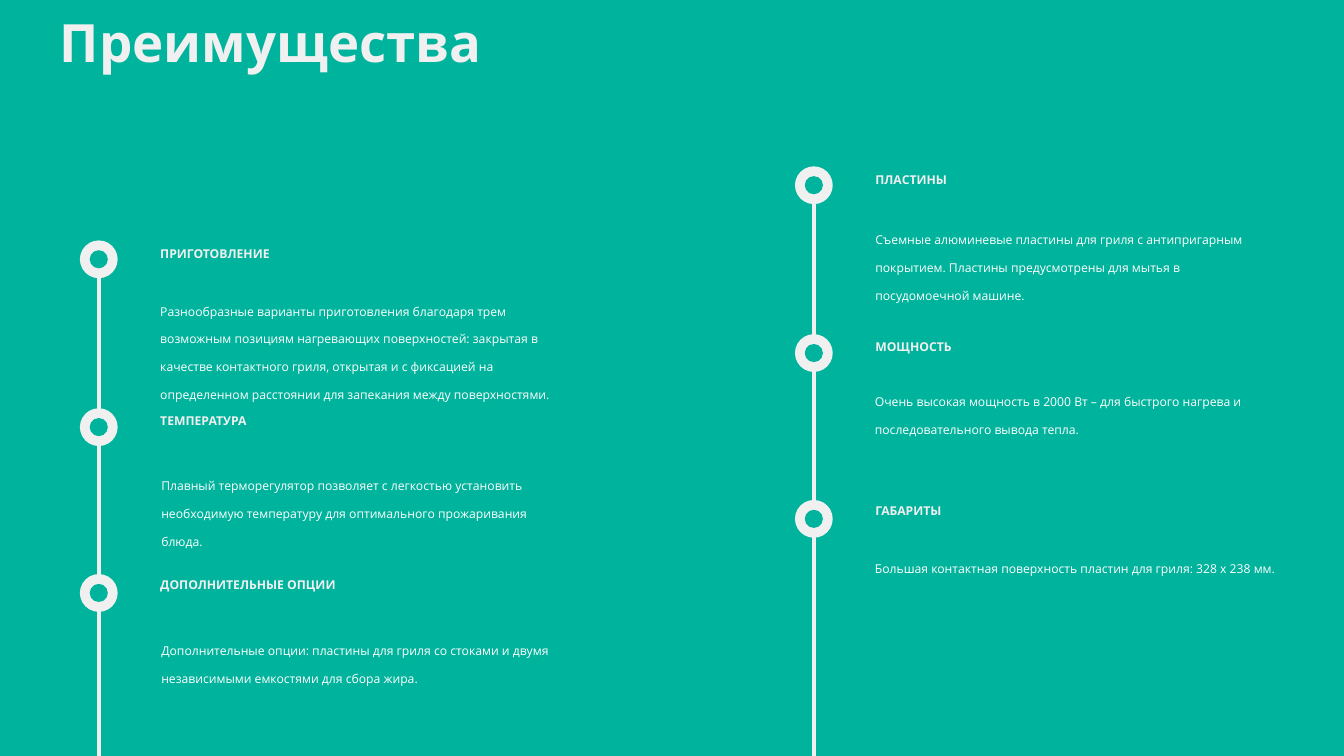
from pptx import Presentation
from pptx.dml.color import RGBColor
from pptx.enum.shapes import MSO_CONNECTOR, MSO_SHAPE
from pptx.enum.text import MSO_ANCHOR, MSO_AUTO_SIZE
from pptx.oxml.ns import qn
from pptx.util import Inches, Pt
from lxml.etree import SubElement

COLORS = {"background": "00B39C", "light": "F0F0F0", "body": "FFFFFF"}
FONT = "Open Sans"
TITLE = "Преимущества"

# Each benefit: heading, description, description left and top
TIMELINES = [
    {"spine": 16.15, "top": 3.3, "end": 15.05, "heading_left": 17.31, "benefits": [
        ("ПЛАСТИНЫ",
         "Съемные алюминевые пластины для гриля с антипригарным покрытием. "
         "Пластины предусмотрены для мытья в посудомоечной машине.", 17.31, 4.55),
        ("МОЩНОСТЬ",
         "Очень высокая мощность в 2000 Вт – для быстрого нагрева и "
         "последовательного вывода тепла.", 17.3, 7.77),
        ("ГАБАРИТЫ",
         "Большая контактная поверхность пластин для гриля: 328 x 238 мм.", 17.3, 11.08),
    ]},
    {"spine": 1.96, "top": 4.77, "end": 16.52, "heading_left": 3.12, "benefits": [
        ("ПРИГОТОВЛЕНИЕ",
         "Разнообразные варианты приготовления благодаря трем возможным позициям "
         "нагревающих поверхностей: закрытая в качестве контактного гриля, открытая "
         "и с фиксацией на определенном расстоянии для запекания между поверхностями.",
         3.12, 5.97),
        ("ТЕМПЕРАТУРА",
         "Плавный терморегулятор позволяет с легкостью установить необходимую "
         "температуру для оптимального прожаривания блюда.", 3.14, 9.44),
        ("ДОПОЛНИТЕЛЬНЫЕ ОПЦИИ",
         "Дополнительные опции: пластины для гриля со стоками и двумя независимыми "
         "емкостями для сбора жира.", 3.14, 12.7),
    ]},
]
NODE_OFFSETS = [0, 3.33, 6.62]
HEADING_OFFSETS = [0.08, 0.06, 0.03]
RING, HOLE = 0.75, 0.36


def rgb(name):
    return RGBColor.from_string(COLORS[name])


def add_text(slide, text, left, top, width, height, size, color="light", bold=True):
    """Add raised text; bold titles are centred vertically and grow to fit."""
    box = slide.shapes.add_textbox(*map(Inches, (left, top, width, height)))
    frame = box.text_frame
    frame.word_wrap = True
    frame.margin_left = frame.margin_right = Inches(0.06)
    frame.margin_top = frame.margin_bottom = Inches(0.06)
    if bold:
        frame.vertical_anchor = MSO_ANCHOR.MIDDLE
        frame.auto_size = MSO_AUTO_SIZE.SHAPE_TO_FIT_TEXT
    paragraph = frame.paragraphs[0]
    run = paragraph.add_run()
    run.text = text
    run._r.get_or_add_rPr().set("baseline", "55000")
    paragraph.font.name = FONT
    paragraph.font.size = Pt(size)
    paragraph.font.bold = bold
    paragraph.font.color.rgb = rgb(color)
    return paragraph


def add_spine(slide, x, top, end):
    spine = slide.shapes.add_connector(
        MSO_CONNECTOR.STRAIGHT, Inches(x), Inches(end), Inches(x), Inches(top))
    spine.line.color.rgb = rgb("light")
    spine.line.width = Pt(6)
    SubElement(spine._element.spPr, qn("a:effectLst"))


def add_node(slide, x, y):
    """Add a ring centred on x, y."""
    for diameter, color in ((RING, "light"), (HOLE, "background")):
        circle = slide.shapes.add_shape(
            MSO_SHAPE.OVAL, Inches(x - diameter / 2), Inches(y - diameter / 2),
            Inches(diameter), Inches(diameter))
        circle.shadow.inherit = False
        circle.fill.solid()
        circle.fill.fore_color.rgb = rgb(color)
        circle.line.fill.background()


def main():
    prs = Presentation()
    prs.slide_width, prs.slide_height = Inches(26.67), Inches(15)
    slide = prs.slides.add_slide(prs.slide_layouts[6])
    slide.background.fill.solid()
    slide.background.fill.fore_color.rgb = rgb("background")

    title = add_text(slide, TITLE, 1.13, 0.73, 14.41, 1.86, 130)
    title.line_spacing = 0.8

    for timeline in TIMELINES:
        spine, top = timeline["spine"], timeline["top"]
        add_spine(slide, spine, top + 0.26, timeline["end"])
        for benefit, node_offset, heading_offset in zip(
                timeline["benefits"], NODE_OFFSETS, HEADING_OFFSETS):
            heading, description, left, description_top = benefit
            node_top = top + node_offset
            add_node(slide, spine, node_top + RING / 2)
            add_text(slide, heading, timeline["heading_left"],
                     node_top + heading_offset, 6.97, 0.62, 30)
            add_text(slide, description, left, description_top, 8.08, 1.85, 30,
                     color="body", bold=False)

    prs.save("out.pptx")


if __name__ == "__main__":
    main()
